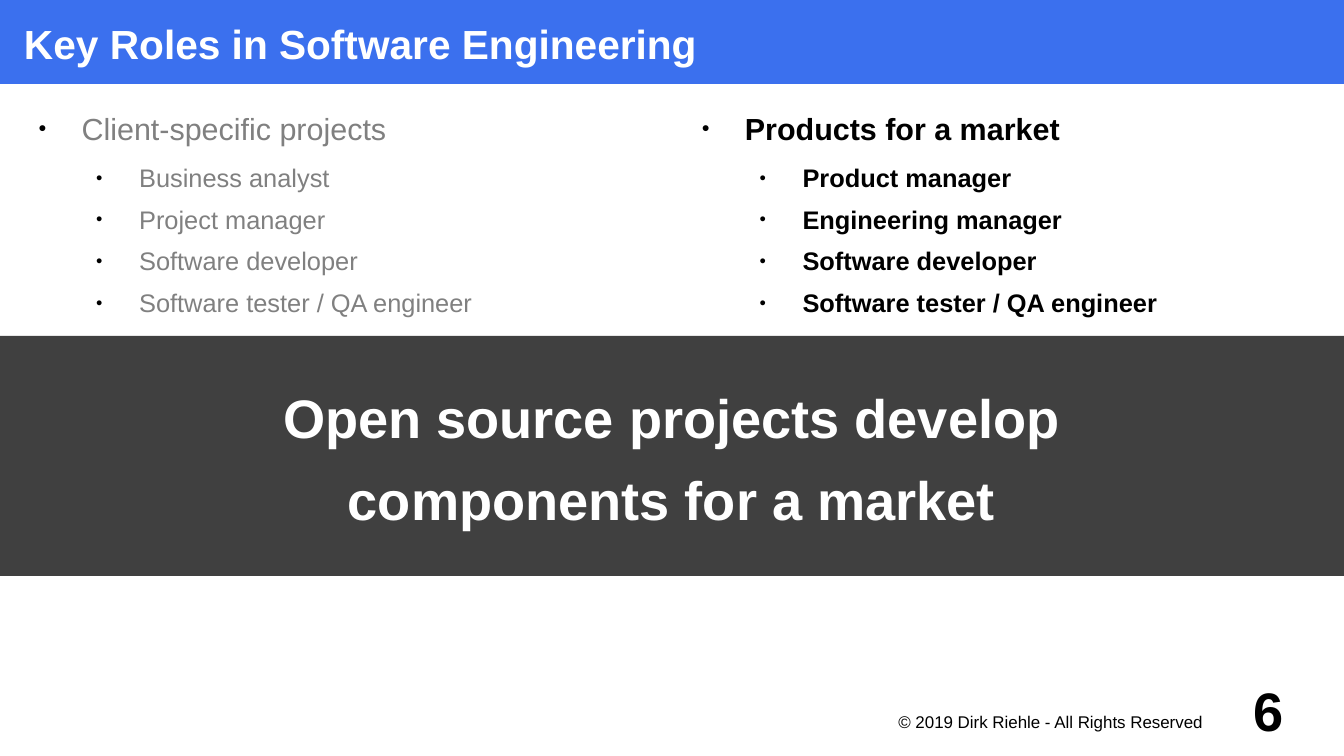
from lxml import etree
from pptx import Presentation
from pptx import util as u
from pptx.dml.color import RGBColor
from pptx.enum import shapes, text
from pptx.oxml.ns import qn

COLORS = {"title": "3B70EE", "banner": "404040", "muted": "808080",
          "black": "000000", "white": "FFFFFF"}
FONT = "Arial"
LINE_SPACING = 1.05
WIDTH, HEIGHT = 28, 15.75
MARGIN = 0.5

CLIENT_ROLES = ["Business analyst", "Project manager", "Software developer",
                "Software tester / QA engineer"]
PRODUCT_ROLES = ["Product manager", "Engineering manager", "Software developer",
                 "Software tester / QA engineer"]


def lengths(box):
    return [u.Cm(value) for value in box]


def fill_with(shape, color):
    shape.fill.solid()
    shape.fill.fore_color.rgb = RGBColor.from_string(COLORS[color])
    shape.line.fill.background()


def set_frame(shape, insets, anchor=text.MSO_ANCHOR.TOP):
    frame = shape.text_frame
    frame.word_wrap = True
    frame.auto_size = text.MSO_AUTO_SIZE.NONE
    frame.vertical_anchor = anchor
    (frame.margin_left, frame.margin_top,
     frame.margin_right, frame.margin_bottom) = lengths(insets)
    return frame


def write_lines(frame, lines):
    """Write one paragraph for each line and return the paragraphs."""
    frame.text = "\n".join(lines)
    return frame.paragraphs


def style(paragraph, size, color, bold=False, align=text.PP_ALIGN.LEFT, after=0):
    paragraph.alignment = align
    paragraph.line_spacing = LINE_SPACING
    paragraph.space_before = u.Pt(0)
    paragraph.space_after = u.Pt(after)
    font = paragraph.font
    font.name, font.size, font.bold = FONT, u.Pt(size), bold
    font.color.rgb = RGBColor.from_string(COLORS[color])


def add_bullet(paragraph, indent):
    properties = paragraph._p.get_or_add_pPr()
    properties.set("marL", str(u.Cm(indent)))
    properties.set("indent", str(u.Cm(-0.9)))
    bullet_color = etree.SubElement(properties, qn("a:buClr"))
    etree.SubElement(bullet_color, qn("a:srgbClr"), val=COLORS["black"])
    etree.SubElement(properties, qn("a:buSzPct"), val="45000")
    etree.SubElement(properties, qn("a:buFont"), typeface=FONT)
    etree.SubElement(properties, qn("a:buChar"), char="●")


def add_title(slide, box, title):
    shape = slide.shapes.title
    shape.left, shape.top, shape.width, shape.height = lengths(box)
    fill_with(shape, "title")
    frame = set_frame(shape, (MARGIN, 0, 0, 0), text.MSO_ANCHOR.MIDDLE)
    style(write_lines(frame, [title])[0], 24, "white", bold=True)


def add_roles(slide, box, heading, roles, color, bold):
    frame = set_frame(slide.shapes.add_textbox(*lengths(box)), (0, 0, 0, 0))
    for index, paragraph in enumerate(write_lines(frame, [heading, *roles])):
        level = min(index, 1)
        paragraph.level = level
        add_bullet(paragraph, 1.2 * (level + 1))
        style(paragraph, (18, 15)[level], color, bold, after=(8.4, 5.7)[level])


def add_banner(slide, box, lines):
    shape = slide.shapes.add_shape(shapes.MSO_SHAPE.RECTANGLE, *lengths(box))
    shape.shadow.inherit = False
    fill_with(shape, "banner")
    frame = set_frame(shape, [MARGIN] * 4, text.MSO_ANCHOR.MIDDLE)
    for paragraph in write_lines(frame, lines):
        style(paragraph, 32, "white", True, text.PP_ALIGN.CENTER, after=8.4)


def add_footer(slide, box, notice, number):
    left, top, width, height = box
    number_width = 2
    # Copyright notice
    notice_box = (left, top + height / 2, 8, height / 2)
    frame = set_frame(slide.shapes.add_textbox(*lengths(notice_box)),
                      (0, 0.05, 0.95, 0))
    style(write_lines(frame, [notice])[0], 10, "black", align=text.PP_ALIGN.RIGHT)
    # Slide number
    number_box = (left + width - number_width, top, number_width, height)
    frame = set_frame(slide.shapes.add_textbox(*lengths(number_box)),
                      (0, 0, 0.75, 0), text.MSO_ANCHOR.MIDDLE)
    style(write_lines(frame, [number])[0], 32, "black", True, text.PP_ALIGN.RIGHT)


def main():
    presentation = Presentation()
    presentation.slide_width, presentation.slide_height = lengths((WIDTH, HEIGHT))
    slide = presentation.slides.add_slide(presentation.slide_layouts[5])

    add_title(slide, (0, 0, WIDTH, 1.75), "Key Roles in Software Engineering")

    # Two equal columns between the margins
    gap = 0.64
    column_width = (WIDTH - 2 * MARGIN - gap) / 2
    columns = [("Client-specific projects", CLIENT_ROLES, "muted", False),
               ("Products for a market", PRODUCT_ROLES, "black", True)]
    for index, column in enumerate(columns):
        left = MARGIN + index * (column_width + gap)
        add_roles(slide, (left, 2.25, column_width, 11.5), *column)

    add_banner(slide, (0, 7, WIDTH, 5),
               ["Open source projects develop", "components for a market"])
    add_footer(slide, (18, 14, 9.5, 1.5),
               "© 2019 Dirk Riehle - All Rights Reserved", "6")
    presentation.save("out.pptx")


if __name__ == "__main__":
    main()
